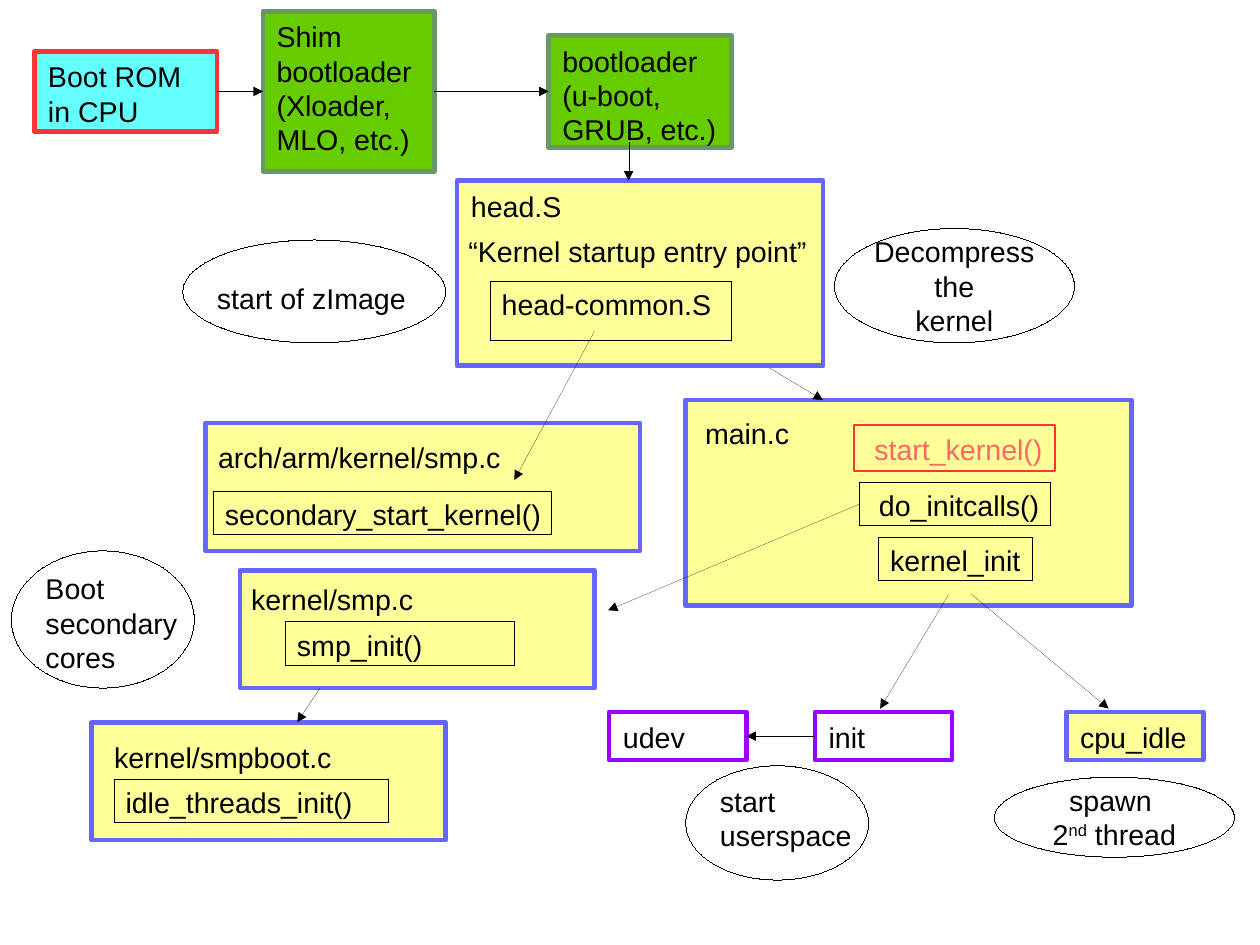
from lxml import etree
from pptx import Presentation
from pptx.dml.color import RGBColor
from pptx.enum.shapes import MSO_CONNECTOR, MSO_SHAPE
from pptx.enum.text import MSO_ANCHOR, PP_ALIGN
from pptx.oxml.ns import qn
from pptx.util import Inches, Pt

RECT, OVAL = MSO_SHAPE.RECTANGLE, MSO_SHAPE.OVAL
STRAIGHT = MSO_CONNECTOR.STRAIGHT
TOP, MIDDLE = MSO_ANCHOR.TOP, MSO_ANCHOR.MIDDLE
LEFT, CENTER = PP_ALIGN.LEFT, PP_ALIGN.CENTER
LEFT_SIDE, RIGHT_SIDE = 1, 3
BLACK, RED, ROSE, CYAN = "000000", "FF3333", "FF6666", "66FFFF"
YELLOW, BLUE, PURPLE = "FFFF99", "6666FF", "9900FF"
GREEN, MOSS = "66CC00", "669966"
THICK, HAIR = 2.89, 0.01


def color(code):
    """Turn a hex string into a colour."""
    return RGBColor.from_string(code)


def write(shape, lines, ink=BLACK, align=LEFT, anchor=TOP, wrap=True,
          pad=(0.1, 0.05), indent=0):
    """Fill a shape with paragraphs; a tuple line holds (text, baseline) runs."""
    frame = shape.text_frame
    frame.word_wrap = wrap
    frame.vertical_anchor = anchor
    frame.margin_left = Inches(pad[0] + indent)
    frame.margin_right = Inches(pad[0])
    frame.margin_top = frame.margin_bottom = Inches(pad[1])
    for i, line in enumerate(lines):
        para = frame.add_paragraph() if i else frame.paragraphs[0]
        para.alignment = align
        for words, base in ([(line, 0)] if isinstance(line, str) else line):
            run = para.add_run()
            run.text = words
            run.font.name = "Arial"
            run.font.size = Pt(18)
            run.font.color.rgb = color(ink)
            if base:
                run._r.get_or_add_rPr().set("baseline", str(base * 1000))


def label(shapes, at, *lines, **form):
    """Add a plain text box."""
    write(shapes.add_textbox(*map(Inches, at)), lines, **form)


def block(shapes, at, *lines, kind=RECT, fill=None, edge=BLACK, width=HAIR, **form):
    """Add an outlined shape with optional fill and text."""
    shape = shapes.add_shape(kind, *map(Inches, at))
    shape.shadow.inherit = False
    if fill:
        shape.fill.solid()
        shape.fill.fore_color.rgb = color(fill)
    else:
        shape.fill.background()
    shape.line.color.rgb = color(edge)
    shape.line.width = Pt(width)
    if lines:
        write(shape, lines, **form)
    return shape


def panel(shapes, at, *lines, fill=YELLOW, edge=BLUE):
    """Add a thickly outlined box."""
    return block(shapes, at, *lines, fill=fill, edge=edge, width=THICK,
                 pad=(0.12, 0.07))


def note(shapes, oval, at, *lines):
    """Group an ellipse with its left-aligned text."""
    group = shapes.add_group_shape().shapes
    label(group, at, *lines)
    block(group, oval, kind=OVAL)


def arrow(shapes, start, end, source=None, target=None):
    """Draw a hairline arrow, joined to a source's or target's side if given."""
    link = shapes.add_connector(STRAIGHT, *map(Inches, (*start, *end)))
    if source:
        link.begin_connect(*source)
    if target:
        link.end_connect(*target)
    link.line.color.rgb = color(BLACK)
    link.line.width = Pt(HAIR)
    etree.SubElement(link.line._get_or_add_ln(), qn("a:tailEnd"), type="triangle")
    etree.SubElement(link._element.spPr, qn("a:effectLst"))


def boot_chain(shapes):
    """Draw the boot ROM, both loaders and the arrows between them."""
    rom = panel(shapes, (0.3, 0.45, 1.6, 0.7), "Boot ROM in CPU",
                fill=CYAN, edge=RED)
    shim = panel(shapes, (2.3, 0.1, 1.5, 1.4), "Shim bootloader",
                 "(Xloader, MLO, etc.)", fill=GREEN, edge=MOSS)
    loader = panel(shapes, (4.8, 0.31, 1.6, 0.98),
                   "bootloader (u-boot, GRUB, etc.)", fill=GREEN, edge=MOSS)
    arrow(shapes, (1.9, 0.8), (2.3, 0.8), (rom, RIGHT_SIDE), (shim, LEFT_SIDE))
    arrow(shapes, (3.8, 0.8), (4.8, 0.8), (shim, RIGHT_SIDE), (loader, LEFT_SIDE))


def kernel_files(shapes):
    """Draw the source files with their functions."""
    panel(shapes, (6, 3.5, 3.9, 1.8))
    arrow(shapes, (6.2, 2.9), (7.2, 3.5))
    label(shapes, (6.07, 3.59, 1, 0.38), "main.c")
    block(shapes, (7.47, 3.72, 1.76, 0.4), "start_kernel()", edge=RED, width=1.45,
          ink=ROSE, wrap=False, pad=(0.11, 0.06), indent=0.07)
    calls = block(shapes, (7.52, 4.22, 1.67, 0.38), "do_initcalls()",
                  wrap=False, indent=0.07)
    block(shapes, (7.69, 4.7, 1.34, 0.38), "kernel_init", wrap=False)

    panel(shapes, (4, 1.58, 3.2, 1.62), "head.S")
    label(shapes, (4, 2, 3.16, 0.38), "“Kernel startup entry point”", wrap=False)
    block(shapes, (4.29, 2.46, 2.11, 0.52), "head-common.S", wrap=False)

    for frame, head, name, inner, call in (
        ((1.8, 3.7, 3.8, 1.12), (1.81, 3.8, 2.67, 0.4), "arch/arm/kernel/smp.c",
         (1.87, 4.3, 2.96, 0.38), "secondary_start_kernel()"),
        ((2.1, 4.99, 3.1, 1.03), (2.1, 5.04, 2, 0.38), "kernel/smp.c",
         (2.5, 5.44, 2, 0.38), "smp_init()"),
        ((0.8, 6.32, 3.1, 1.03), (0.9, 6.42, 2.2, 0.38), "kernel/smpboot.c",
         (1, 6.82, 2.4, 0.38), "idle_threads_init()"),
    ):
        panel(shapes, frame)
        label(shapes, head, name, wrap=False)
        block(shapes, inner, call, wrap=False)
    arrow(shapes, (7.52, 4.41), (5.32, 5.34), source=(calls, LEFT_SIDE))


def threads(shapes):
    """Draw the user space and idle processes."""
    udev = panel(shapes, (5.33, 6.23, 1.2, 0.42), "udev", fill=None, edge=PURPLE)
    init = panel(shapes, (7.13, 6.23, 1.2, 0.42), "init", fill=None, edge=PURPLE)
    panel(shapes, (9.33, 6.23, 1.2, 0.42), "cpu_idle")
    arrow(shapes, (7.13, 6.44), (6.53, 6.44), (init, LEFT_SIDE), (udev, RIGHT_SIDE))


def notes(shapes):
    """Draw the remarks in ellipses."""
    note(shapes, (1.6, 2.1, 2.3, 0.9), (1.8, 2.41, 1.9, 0.38), "start of zImage")
    note(shapes, (0.1, 4.82, 1.6, 1.2), (0.3, 4.95, 1.4, 0.94),
         "Boot", "secondary", "cores")
    note(shapes, (6, 6.7, 1.6, 1), (6.2, 6.81, 1.4, 0.78), "start", "userspace")
    for at, lines in (
        ((7.3, 2, 2.1, 1), ("Decompress", "the", "kernel")),
        ((8.7, 6.8, 2.1, 0.7),
         ("spawn ", (("2", 0), ("nd", 33), (" thread", 0)))),
    ):
        block(shapes, at, *lines, kind=OVAL, align=CENTER, anchor=MIDDLE, wrap=False)


def main():
    """Build the boot flow slide."""
    deck = Presentation()
    deck.slide_width = Inches(28 / 2.54)
    deck.slide_height = Inches(21 / 2.54)
    slide = deck.slides.add_slide(deck.slide_layouts[6])
    shapes = slide.shapes
    boot_chain(shapes)
    kernel_files(shapes)
    threads(shapes)
    notes(shapes)
    for start, end in (
        ((5.5, 1.24), (5.5, 1.58)),
        ((5.2, 2.9), (4.5, 4.2)),
        ((2.8, 6.02), (2.6, 6.32)),
        ((8.3, 5.2), (7.7, 6.2)),
        ((8.5, 5.2), (9.7, 6.2)),
    ):
        arrow(shapes, start, end)
    deck.save("out.pptx")


if __name__ == "__main__":
    main()
